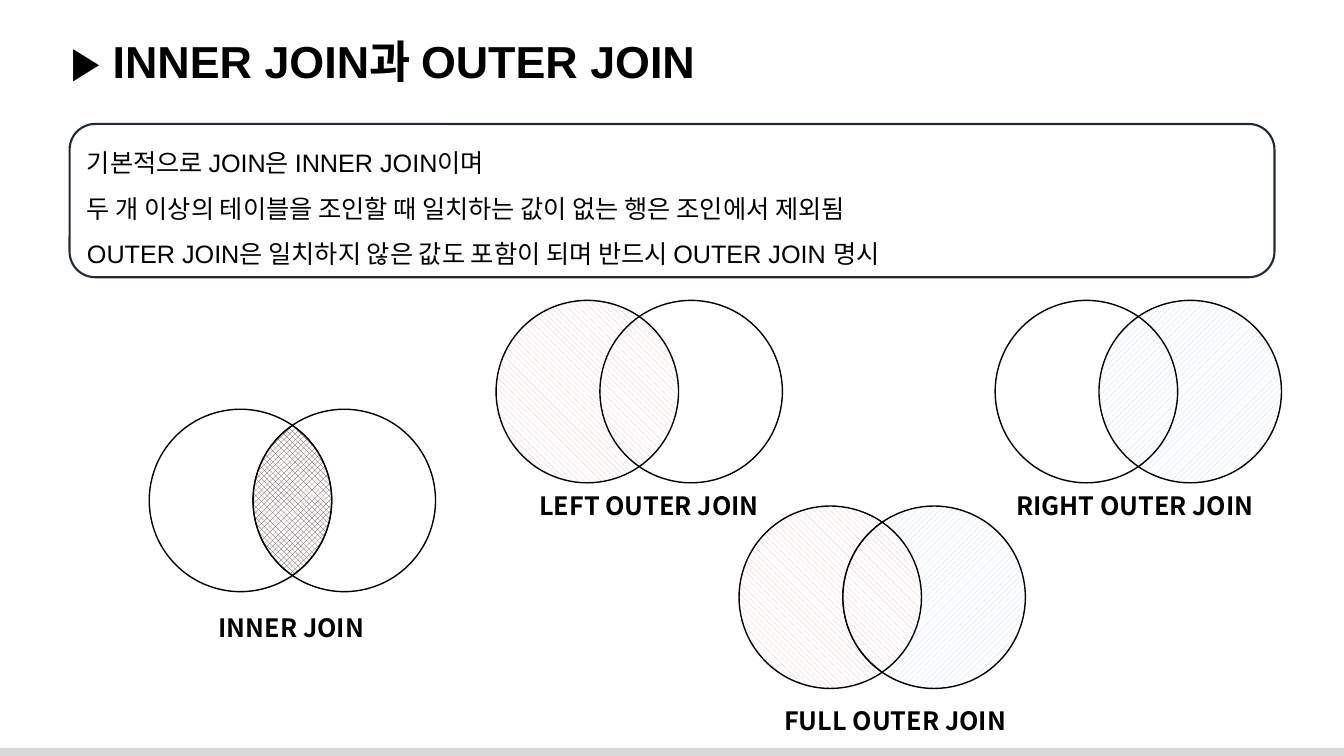
from dataclasses import dataclass
from math import acos, cos, pi, sin
from typing import Optional

from pptx import Presentation
from pptx.dml.color import RGBColor
from pptx.enum.dml import MSO_PATTERN
from pptx.enum.shapes import MSO_SHAPE
from pptx.enum.text import MSO_ANCHOR, MSO_AUTO_SIZE, PP_ALIGN
from pptx.oxml.ns import qn
from pptx.util import Inches, Pt

BLACK = RGBColor(0x00, 0x00, 0x00)
WHITE = RGBColor(0xFF, 0xFF, 0xFF)
NAVY = RGBColor(0x22, 0x2A, 0x35)
GREY = RGBColor(0xD9, 0xD9, 0xD9)
PINK = RGBColor(0xE6, 0xB9, 0xB8)
BLUE = RGBColor(0xBD, 0xD7, 0xEE)
BROWN = RGBColor(0x65, 0x3D, 0x3D)

DOWN = MSO_PATTERN.WIDE_DOWNWARD_DIAGONAL
UP = MSO_PATTERN.WIDE_UPWARD_DIAGONAL
DIAMOND = MSO_PATTERN.OUTLINED_DIAMOND
OVAL = MSO_SHAPE.OVAL
RECT = MSO_SHAPE.RECTANGLE
ROUND = MSO_SHAPE.ROUNDED_RECTANGLE
TOP, MIDDLE = MSO_ANCHOR.TOP, MSO_ANCHOR.MIDDLE
LEFT = PP_ALIGN.LEFT
GROW, FIXED = MSO_AUTO_SIZE.SHAPE_TO_FIT_TEXT, MSO_AUTO_SIZE.NONE

SANS = "Arial"
KOREAN = "Noto Sans CJK KR"
SIZE = 1.81  # circle diameter
STEP = 1.03  # distance between the two centres
ARC = 24  # segments on each side of the lens


@dataclass(frozen=True)
class Hatch:
    kind: MSO_PATTERN
    color: RGBColor


@dataclass(frozen=True)
class Label:
    text: str
    x: float
    y: float
    width: float


@dataclass(frozen=True)
class Venn:
    x: float
    y: float
    label: Label
    left: Optional[Hatch] = None
    right: Optional[Hatch] = None
    lens: Optional[Hatch] = None


RED_LINES = Hatch(DOWN, PINK)
BLUE_LINES = Hatch(UP, BLUE)
VENNS = [
    Venn(1.48, 4.06, Label("INNER JOIN", 2.07, 6.03, 1.65),
         lens=Hatch(DIAMOND, BROWN)),
    Venn(4.92, 2.98, Label("LEFT OUTER JOIN", 5.25, 4.82, 2.43),
         left=RED_LINES),
    Venn(9.87, 2.98, Label("RIGHT OUTER JOIN", 9.98, 4.82, 2.62),
         right=BLUE_LINES),
    Venn(7.33, 5.02, Label("FULL OUTER JOIN", 7.68, 6.95, 2.43),
         left=RED_LINES, right=BLUE_LINES, lens=RED_LINES),
]
NOTES = [
    "기본적으로 JOIN은 INNER JOIN이며",
    "두 개 이상의 테이블을 조인할 때 일치하는 값이 없는 행은 조인에서 제외됨",
    "OUTER JOIN은 일치하지 않은 값도 포함이 되며 반드시 OUTER JOIN 명시",
]


def write(shape, lines: list[str], *, size: float = 18, font: str = SANS,
          bold: bool = False, space: float = 1.0, anchor=TOP, fit=GROW) -> None:
    frame = shape.text_frame
    frame.word_wrap = True
    frame.auto_size = fit
    frame.vertical_anchor = anchor
    for i, line in enumerate(lines):
        para = frame.paragraphs[0] if i == 0 else frame.add_paragraph()
        para.alignment = LEFT
        para.line_spacing = space
        run = para.add_run()
        run.text = line
        run.font.size = Pt(size)
        run.font.name = font
        run.font.bold = bold
        run.font.color.rgb = BLACK
        # Hangul typeface
        east = run.font._element.makeelement(qn("a:ea"), {"typeface": KOREAN})
        run.font._element.find(qn("a:latin")).addnext(east)


def outline(shape, color: RGBColor = BLACK, width: float = 1) -> None:
    shape.shadow.inherit = False
    shape.line.color.rgb = color
    shape.line.width = Pt(width)


def paint(shape, hatch: Optional[Hatch]) -> None:
    outline(shape)
    if hatch is None:
        shape.fill.background()
        return
    shape.fill.patterned()
    shape.fill.pattern = hatch.kind
    shape.fill.fore_color.rgb = hatch.color
    shape.fill.back_color.rgb = WHITE


def add_lens(shapes, venn: Venn) -> None:
    """Outline the overlap with one arc from each circle."""
    rad = SIZE / 2
    half = acos(STEP / SIZE)
    mid = venn.y + rad
    dots = []
    for hub, turn in ((venn.x + rad, 0), (venn.x + rad + STEP, pi)):
        for i in range(ARC + 1):
            ang = turn - half + 2 * half * i / ARC
            dots.append((Inches(hub + rad * cos(ang)),
                         Inches(mid + rad * sin(ang))))
    pen = shapes.build_freeform(*dots[0])
    pen.add_line_segments(dots[1:], close=True)
    paint(pen.convert_to_shape(), venn.lens)


def add_venn(slide, venn: Venn) -> None:
    shapes = slide.shapes.add_group_shape().shapes
    sides = [(venn.x, venn.left), (venn.x + STEP, venn.right)]
    # Hatched circles lie behind hollow ones
    for x, hatch in sorted(sides, key=lambda side: side[1] is None):
        ring = shapes.add_shape(OVAL, Inches(x), Inches(venn.y),
                                Inches(SIZE), Inches(SIZE))
        paint(ring, hatch)
    if venn.lens:
        add_lens(shapes, venn)
    tag = venn.label
    box = slide.shapes.add_textbox(Inches(tag.x), Inches(tag.y),
                                   Inches(tag.width), Inches(0.4))
    write(box, [tag.text], font=KOREAN, bold=True)


def main() -> None:
    deck = Presentation()
    deck.slide_width, deck.slide_height = Inches(13.33), Inches(7.5)
    slide = deck.slides.add_slide(deck.slide_layouts[5])

    # Bottom bar
    bar = slide.shapes.add_shape(RECT, Inches(-0.03), Inches(7.42),
                                 Inches(13.39), Inches(0.11))
    bar.shadow.inherit = False
    bar.fill.solid()
    bar.fill.fore_color.rgb = GREY
    bar.line.fill.background()

    # Title
    title = slide.shapes.title
    title.left, title.top = Inches(0.6), Inches(0.28)
    title.width, title.height = Inches(12.6), Inches(0.64)
    write(title, ["▶ INNER JOIN과 OUTER JOIN"], size=32, bold=True)

    # Explanation box
    panel = slide.shapes.add_shape(ROUND, Inches(0.69), Inches(1.23),
                                   Inches(11.95), Inches(1.52))
    panel.fill.background()
    outline(panel, NAVY, 1.5)
    write(panel, NOTES, space=1.5, anchor=MIDDLE, fit=FIXED)

    # Join diagrams
    for venn in VENNS:
        add_venn(slide, venn)

    deck.save("out.pptx")


if __name__ == "__main__":
    main()
